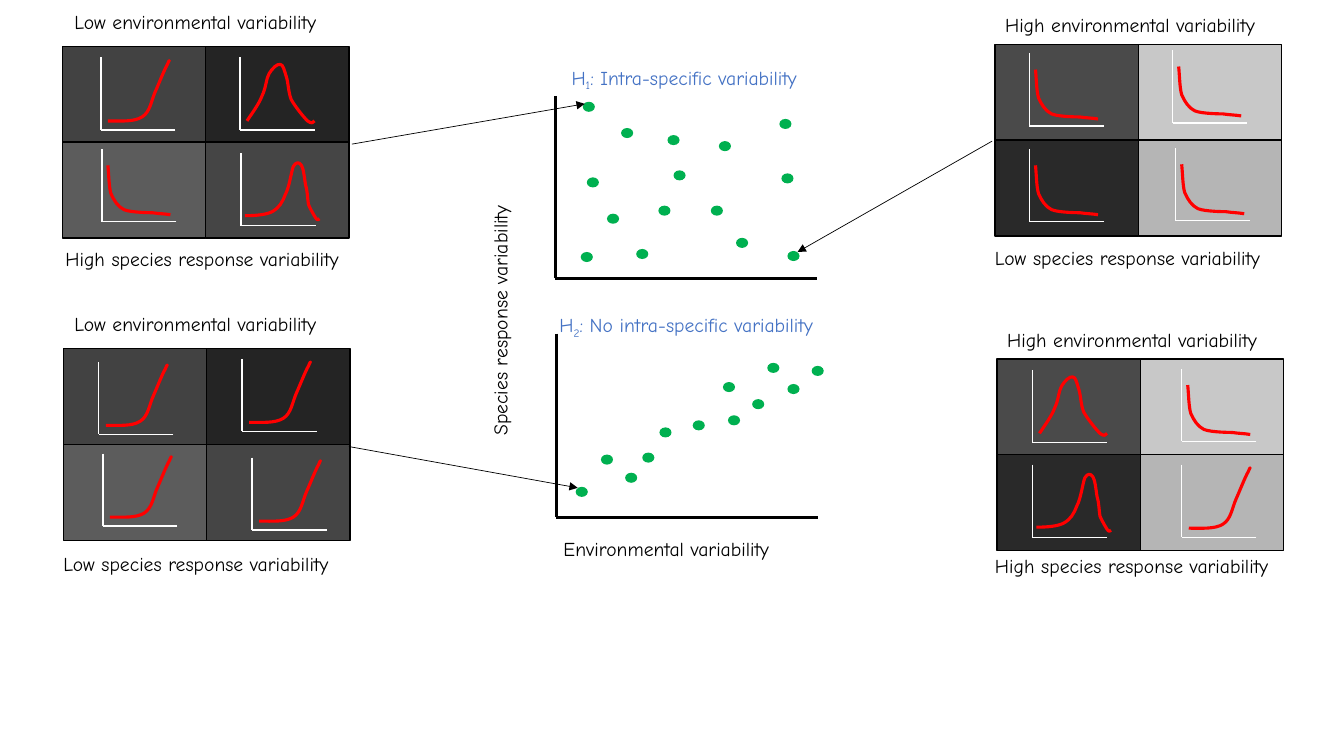
from lxml import etree
from pptx import Presentation
from pptx.dml.color import RGBColor
from pptx.enum.shapes import MSO_CONNECTOR as CONN, MSO_SHAPE as SHAPE
from pptx.enum.text import MSO_AUTO_SIZE as AUTO
from pptx.oxml.ns import qn
from pptx.util import Pt

EMU_PER_PX = 9144  # 100 px to the inch
FONT = "Comic Neue"
BLACK = RGBColor(0x00, 0x00, 0x00)
NEAR_BLACK = RGBColor(0x08, 0x08, 0x08)
WHITE = RGBColor(0xFF, 0xFF, 0xFF)
RED = RGBColor(0xFF, 0x00, 0x00)
GREEN = RGBColor(0x00, 0xB0, 0x50)
BLUE = RGBColor(0x44, 0x72, 0xC4)

CELL_W, CELL_H = 142, 95
AXIS_W, AXIS_H = 74, 72
DOT_W, DOT_H = 12, 10

# Response curves, measured from the corner of their axes:
# a start point, then cubic segments (control, control, end)
CURVES = {
    "rise": [(7, -9), (20, -9), (33, -8), (41, -13), (49, -18), (50, -29), (54, -38),
             (58, -47), (63, -60), (66, -65), (68, -70), (68, -69), (68, -68)],
    "decay": [(6, -56), (7, -46), (7, -35), (9, -28), (12, -21), (16, -15), (22, -12),
              (29, -9), (50, -9), (50, -9), (56, -8), (62, -8), (68, -7)],
    "hump": [(7, -9), (13, -18), (19, -26), (22, -34), (26, -42), (26, -51), (29, -56),
             (32, -61), (37, -66), (40, -65), (43, -65), (44, -59), (46, -53),
             (48, -47), (48, -37), (51, -30), (55, -23), (63, -13), (67, -9),
             (71, -6), (73, -7), (74, -9)],
    "late hump": [(4, -10), (15, -10), (25, -11), (31, -14), (38, -18), (41, -23), (44, -31),
                  (48, -38), (50, -54), (52, -59), (55, -64), (58, -63), (60, -60),
                  (62, -57), (63, -48), (64, -41), (66, -35), (66, -27), (67, -21),
                  (69, -16), (74, -8), (74, -8), (76, -5), (77, -6), (78, -7)],
}

# Cell shades (colour, opacity %) by row, left to right
LOW_SHADES = [(BLACK, 74), (BLACK, 86), (BLACK, 64), (BLACK, 73)]
HIGH_SHADES = [(BLACK, 71), (NEAR_BLACK, 22), (BLACK, 84), (BLACK, 29)]

# Grid corner, shades, labels (left, top, text), graphs (curve, axis corner)
PANELS = [
    (62, 46, LOW_SHADES,
     [(64, 5, "Low environmental variability"), (55, 240, "High species response variability")],
     [("hump", 238, 129), ("rise", 100, 129), ("decay", 101, 220), ("late hump", 239, 224)]),
    (987, 44, HIGH_SHADES,
     [(987, 8, "High environmental variability"), (977, 239, "Low species response variability")],
     [("decay", 1021, 220), ("decay", 1021, 125), ("decay", 1163, 122), ("decay", 1166, 219)]),
    (63, 346, LOW_SHADES,
     [(64, 305, "Low environmental variability"), (53, 543, "Low species response variability")],
     [("rise", 98, 431), ("rise", 240, 428), ("rise", 102, 522), ("rise", 250, 526)]),
    (989, 356, HIGH_SHADES,
     [(989, 320, "High environmental variability"), (977, 545, "High species response variability")],
     [("hump", 1024, 439), ("decay", 1172, 438), ("late hump", 1024, 533), ("rise", 1172, 533)]),
]

# Axis corner, top and right end; title place and parts; dots (left, top)
PLOTS = [
    (551, 276, 95, 810, (557, 60), ("H", "1", ": Intra-specific variability"),
     [(578, 101), (576, 250), (653, 204), (730, 236), (773, 118), (713, 140), (616, 127),
      (582, 176), (631, 247), (705, 204), (662, 134), (781, 249), (775, 172), (668, 169),
      (602, 212)]),
    (552, 513, 331, 811, (545, 306), ("H", "2", ": No intra-specific variability"),
     [(571, 483), (596, 451), (620, 469), (654, 424), (687, 417), (717, 379), (746, 396),
      (722, 412), (761, 360), (805, 363), (781, 381), (637, 449)]),
]

ARROWS = [(349, 143, 580, 103), (984, 140, 791, 250), (346, 443, 573, 484)]


def px(n):
    return round(n * EMU_PER_PX)


def add_line(shapes, x1, y1, x2, y2, color, width, arrow=False):
    c = shapes.add_connector(CONN.STRAIGHT, px(x1), px(y1), px(x2), px(y2))
    c.line.color.rgb = color
    c.line.width = Pt(width)
    if arrow:
        etree.SubElement(c.line._get_or_add_ln(), qn("a:tailEnd"), type="triangle")
    etree.SubElement(c._element.spPr, qn("a:effectLst"))


def add_text(shapes, x, y, w, parts, color=BLACK, rotation=0):
    """Write parts as runs; every second one is a subscript."""
    tb = shapes.add_textbox(px(x), px(y), px(w), px(34))
    tb.rotation = rotation
    tf = tb.text_frame
    tf.word_wrap = True
    tf.auto_size = AUTO.SHAPE_TO_FIT_TEXT
    p = tf.paragraphs[0]
    for i, part in enumerate(parts):
        r = p.add_run()
        r.text = part
        r.font.name, r.font.size = FONT, Pt(14)
        r.font.color.rgb = color
        if i % 2:
            r.font._element.set("baseline", "-25000")


def add_filled(shapes, kind, x, y, w, h, color):
    sp = shapes.add_shape(kind, px(x), px(y), px(w), px(h))
    sp.shadow.inherit = False
    sp.fill.solid()
    sp.fill.fore_color.rgb = color
    sp.line.fill.background()
    return sp


def add_cell(shapes, x, y, color, opacity):
    sp = add_filled(shapes, SHAPE.RECTANGLE, x, y, CELL_W, CELL_H, color)
    clr = sp._element.spPr.find(qn("a:solidFill"))[0]
    etree.SubElement(clr, qn("a:alpha"), val=str(opacity * 1000))
    sp.line.color.rgb = BLACK
    sp.line.width = Pt(1)


def make_cubic(sp):
    """Join each three straight segments into one cubic segment."""
    outline = sp._element.spPr.find(".//" + qn("a:path"))
    segments = outline.findall(qn("a:lnTo"))
    for i in range(0, len(segments), 3):
        cubic = etree.SubElement(outline, qn("a:cubicBezTo"))
        for segment in segments[i:i + 3]:
            cubic.append(segment[0])
            outline.remove(segment)


def add_graph(shapes, curve, x, y):
    add_line(shapes, x, y - AXIS_H, x, y, WHITE, 1)
    add_line(shapes, x + AXIS_W, y, x, y, WHITE, 1)
    pts = [(px(x + dx), px(y + dy)) for dx, dy in CURVES[curve]]
    fb = shapes.build_freeform(*pts[0])
    fb.add_line_segments(pts[1:], close=False)
    sp = fb.convert_to_shape()
    make_cubic(sp)
    sp.shadow.inherit = False
    sp.fill.background()
    sp.line.color.rgb = RED
    sp.line.width = Pt(2.25)


def add_panel(s, x, y, shades, labels, graphs):
    shapes = s.shapes.add_group_shape().shapes
    for i, (color, opacity) in enumerate(shades):
        row, col = divmod(i, 2)
        add_cell(shapes, x + col * CELL_W, y + row * CELL_H, color, opacity)
    for left, top, text in labels:
        add_text(shapes, left, top, 358, [text])
    for graph in graphs:
        add_graph(shapes, *graph)


def add_plot(s, x, y, top, right, title_at, title, dots):
    add_line(s.shapes, x, top, x, y, BLACK, 2.25)
    add_line(s.shapes, right, y, x - 1, y, BLACK, 2.25)
    add_text(s.shapes, *title_at, 318, title, BLUE)
    for left, dot_top in dots:
        add_filled(s.shapes, SHAPE.OVAL, left, dot_top, DOT_W, DOT_H, GREEN)


def main():
    prs = Presentation()
    prs.slide_width, prs.slide_height = px(1333), px(750)
    s = prs.slides.add_slide(prs.slide_layouts[6])

    # Four-cell panels at the sides
    for panel in PANELS:
        add_panel(s, *panel)

    # Scatter plots with shared axis titles
    for plot in PLOTS:
        add_plot(s, *plot)
    add_text(s.shapes, 549, 528, 358, ["Environmental variability"])
    add_text(s.shapes, 317, 246, 358, ["Species response variability"], rotation=270)

    # Arrows from panels to dots
    for arrow in ARROWS:
        add_line(s.shapes, *arrow, BLACK, 0.5, arrow=True)

    prs.save("out.pptx")


if __name__ == "__main__":
    main()
